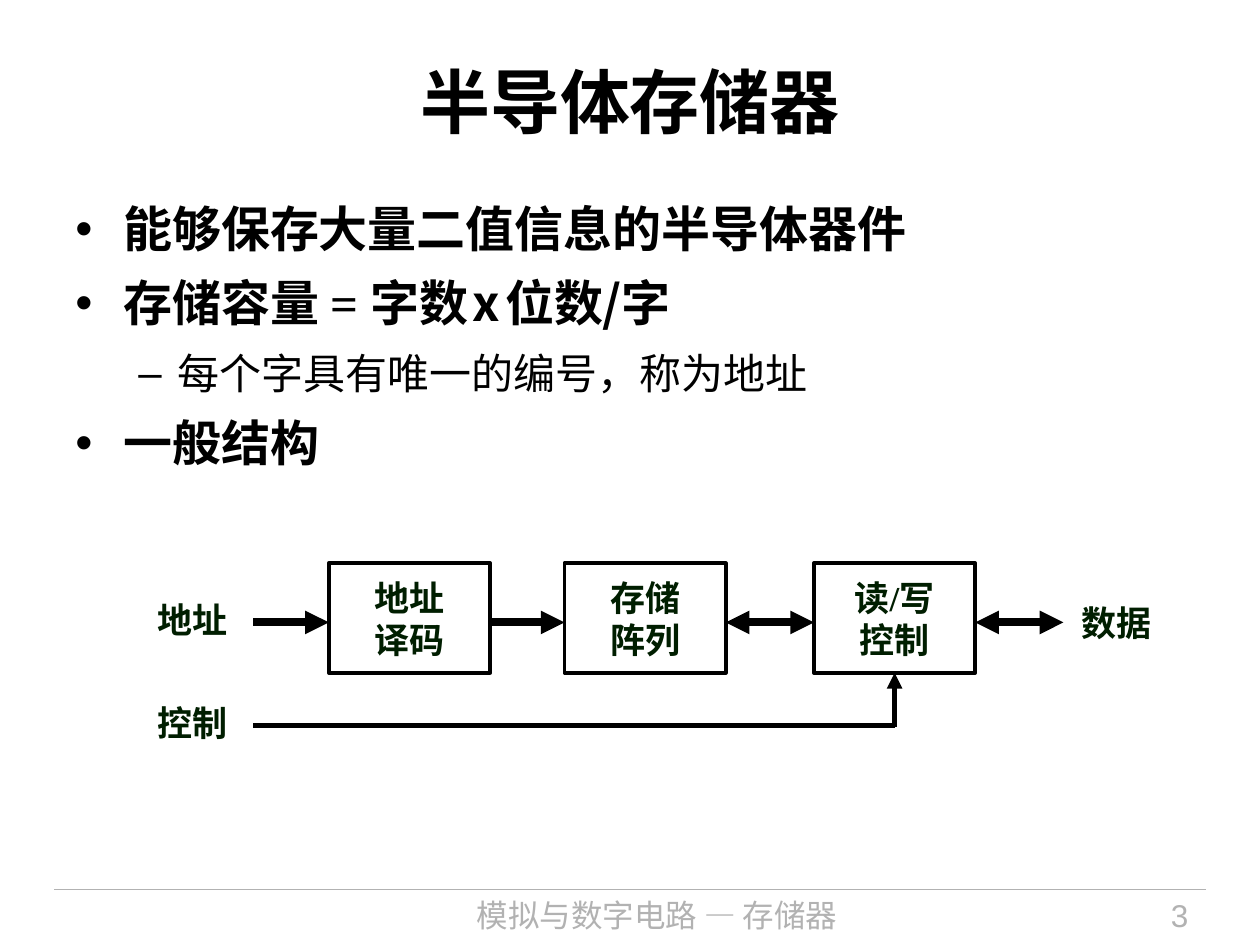
from pptx import Presentation
from pptx.dml.color import RGBColor
from pptx.enum.shapes import MSO_CONNECTOR, MSO_SHAPE
from pptx.enum.text import MSO_ANCHOR, PP_ALIGN
from pptx.oxml.ns import qn
from pptx.util import Inches, Pt
from lxml.etree import SubElement

COLORS = {"black": "000000", "label": "001E00", "footer": "B2B2B2"}
SANS, SERIF, ARIAL = "Noto Sans CJK SC", "Times New Roman", "Arial"


def add_span(para, text, size, font=SANS, color="black", bold=False):
    span = para.add_run()
    span.text = text
    span.font.size = Pt(size)
    span.font.bold = bold
    span.font.color.rgb = RGBColor.from_string(COLORS[color])
    span.font.name = font
    SubElement(span._r.get_or_add_rPr(), qn("a:ea")).set("typeface", SANS)


def write_text(frame, lines, align=PP_ALIGN.LEFT, anchor=MSO_ANCHOR.TOP,
               margins=(0.1, 0.05), wrap=True, **style):
    frame.word_wrap = wrap
    frame.vertical_anchor = anchor
    frame.margin_left = frame.margin_right = Inches(margins[0])
    frame.margin_top = frame.margin_bottom = Inches(margins[1])
    for index, line in enumerate(lines):
        para = frame.paragraphs[0] if index == 0 else frame.add_paragraph()
        para.alignment = align
        add_span(para, line, **style)


def add_text(page, area, lines, **style):
    box = page.shapes.add_textbox(*map(Inches, area))
    write_text(box.text_frame, lines, **style)


def add_line(page, start, end, width, color="black", head=False, tail=False):
    line = page.shapes.add_connector(
        MSO_CONNECTOR.STRAIGHT, *map(Inches, (*start, *end)))
    line.line.width = Pt(width)
    line.line.color.rgb = RGBColor.from_string(COLORS[color])
    outline = line.line._get_or_add_ln()
    for tag, wanted in (("a:headEnd", head), ("a:tailEnd", tail)):
        if wanted:
            SubElement(outline, qn(tag)).set("type", "triangle")
    SubElement(line._element.spPr, qn("a:effectLst"))


def add_bullet(para, symbol, left, hang):
    properties = para._p.get_or_add_pPr()
    properties.set("marL", str(Inches(left)))
    properties.set("indent", str(-Inches(hang)))
    para.line_spacing = 0.9
    para.space_after = Pt(12)
    SubElement(properties, qn("a:buFont")).set("typeface", ARIAL)
    SubElement(properties, qn("a:buChar")).set("char", symbol)


def add_title(page, area):
    add_text(page, area, ["半导体存储器"], align=PP_ALIGN.CENTER,
             anchor=MSO_ANCHOR.MIDDLE, size=40, font=SERIF, bold=True)


def add_body(page, area):
    main = {"size": 28, "bold": True}
    gap = (" ", {"size": 12, "bold": True})
    items = [
        (0, [("能够保存大量二值信息的半导体器件", main)]),
        (0, [("存储容量 ", main), ("= ", {**main, "font": SERIF}),
             ("字数", main), gap, ("x", main), gap, ("位数/字", main)]),
        (1, [("每个字具有唯一的编号，称为地址", {"size": 24})]),
        (0, [("一般结构", main)]),
    ]
    bullets = [("•", 0.38, 0.38), ("–", 0.81, 0.31)]
    frame = page.shapes.add_textbox(*map(Inches, area)).text_frame
    frame.word_wrap = True
    for index, (level, spans) in enumerate(items):
        para = frame.paragraphs[0] if index == 0 else frame.add_paragraph()
        para.level = level
        add_bullet(para, *bullets[level])
        for text, style in spans:
            add_span(para, text, **style)


def add_block(page, area, lines):
    block = page.shapes.add_shape(MSO_SHAPE.RECTANGLE, *map(Inches, area))
    block.shadow.inherit = False
    block.fill.background()
    block.line.color.rgb = RGBColor.from_string(COLORS["black"])
    block.line.width = Pt(2.25)
    write_text(block.text_frame, lines, align=PP_ALIGN.CENTER,
               anchor=MSO_ANCHOR.MIDDLE, margins=(0, 0), wrap=False,
               size=20, font=SERIF, color="label", bold=True)


def add_diagram(page, area):
    left, top, width, height = area
    right = left + width
    block_width, block_height = 1.28, 0.87
    block_lefts = [left + 1.36, left + 3.23, left + 5.21]
    block_lines = [["地址", "译码"], ["存储", "阵列"], ["读/写", "控制"]]
    for block_left, lines in zip(block_lefts, block_lines):
        add_block(page, (block_left, top, block_width, block_height), lines)

    labels = [("地址", left, top + 0.28, ARIAL),
              ("控制", left, top + 1.1, SERIF),
              ("数据", right - 0.56, top + 0.3, ARIAL)]
    for text, label_left, label_top, font in labels:
        add_text(page, (label_left, label_top, 0.56, 0.33), [text],
                 margins=(0, 0), wrap=False, size=20, font=font,
                 color="label", bold=True)

    signal = top + 0.47
    line_left = left + 0.76
    starts = [line_left] + [block_left + block_width for block_left in block_lefts]
    ends = block_lefts + [right - 0.7]
    for index, (start, end) in enumerate(zip(starts, ends)):
        add_line(page, (start, signal), (end, signal), 4.5,
                 head=index >= 2, tail=True)

    control = top + height - 0.14
    turn = block_lefts[-1] + block_width / 2
    add_line(page, (turn, control + 0.01), (turn, top + block_height), 3, tail=True)
    add_line(page, (line_left, control), (turn, control), 3)


def add_footer(page, area):
    left, top, width, height = area
    add_line(page, (left, top), (left + width, top), 0.75, color="footer")
    add_text(page, (left + 1.97, top, 5.63, height), ["模拟与数字电路 — 存储器"],
             align=PP_ALIGN.CENTER, size=18, color="footer")
    add_text(page, (left + 7.77, top, 1.33, height), ["3"],
             align=PP_ALIGN.RIGHT, size=18, font=ARIAL, color="footer")


def main():
    deck = Presentation()
    deck.slide_width, deck.slide_height = Inches(10), Inches(7.5)
    page = deck.slides.add_slide(deck.slide_layouts[6])
    add_footer(page, (0.43, 7.06, 9.14, 0.44))
    add_title(page, (0.5, 0.17, 9, 1.25))
    add_body(page, (0.5, 1.58, 8.99, 2.36))
    add_diagram(page, (1.25, 4.47, 7.89, 1.43))
    deck.save("out.pptx")


if __name__ == "__main__":
    main()
